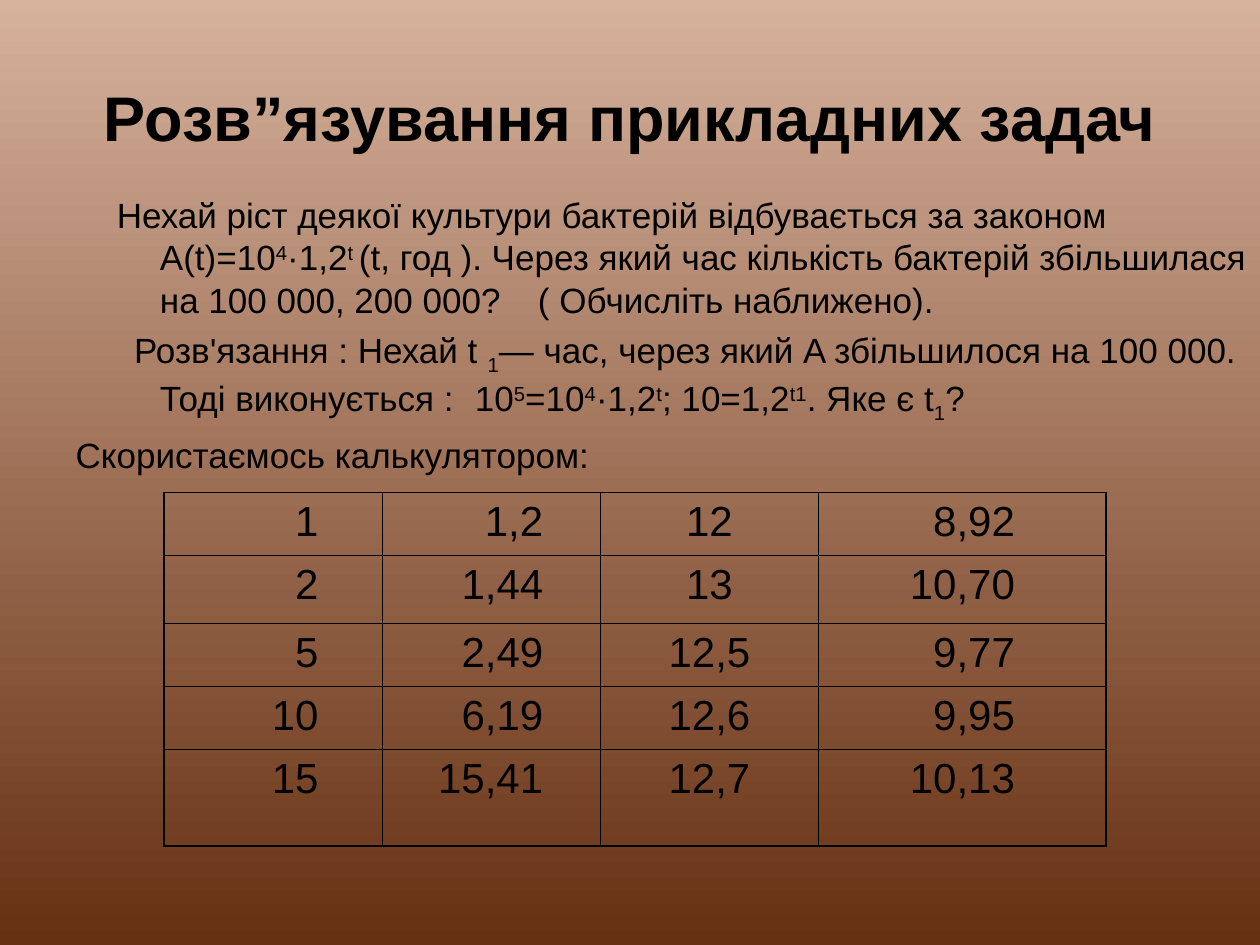
from pptx import Presentation
from pptx.dml.color import RGBColor
from pptx.enum.text import MSO_ANCHOR as Anchor, MSO_AUTO_SIZE as AutoSize, PP_ALIGN as Align
from pptx.oxml.ns import qn
from pptx.util import Cm, Pt
from lxml.etree import SubElement, Element

SUPER, SUB = 30000, -25000

PROBLEM = [
    ("Нехай ріст деякої культури бактерій відбувається за законом A(t)=10", 0),
    ("4", SUPER), ("·1,2", 0), ("t ", SUPER),
    ("(t, год ). Через який час кількість бактерій збільшилася на "
     "100\u00a0000, 200\u00a0000?\t( Обчисліть наближено).", 0),
]
SOLUTION = [
    ("Розв'язання : Нехай t ", 0), ("1", SUB),
    ("― час, через який A збільшилося на 100\u00a0000. Тоді виконується :\t10", 0),
    ("5", SUPER), ("=10", 0), ("4", SUPER), ("·1,2", 0), ("t", SUPER),
    ("; 10=1,2", 0), ("t1", SUPER), (". Яке є t", 0), ("1", SUB), ("?", 0),
]
CALCULATOR = [("Скористаємось калькулятором:", 0)]

VALUES = [
    ["1", "1,2", "12", "8,92"],
    ["2", "1,44", "13", "10,70"],
    ["5", "2,49", "12,5", "9,77"],
    ["10", "6,19", "12,6", "9,95"],
    ["15", "15,41", "12,7", "10,13"],
]
COLUMN_WIDTHS = [4.4, 4.4, 4.4, 5.79]
ROW_HEIGHTS = [1.27, 1.37, 1.27, 1.27, 1.95]
COLUMN_FORMATS = [(Align.RIGHT, 1.28), (Align.RIGHT, 1.15), (Align.CENTER, 0.25), (Align.RIGHT, 1.83)]


def color(value):
    return RGBColor.from_string(value)


def write_text(paragraph, text, size=20, bold=False, font="Arial", fill="000000", baseline=0):
    run = paragraph.add_run()
    run.text = text
    run.font.name = font
    run.font.size = Pt(size)
    run.font.bold = bold
    run.font.color.rgb = color(fill)
    if baseline:
        run.font._element.set("baseline", str(baseline))


class SlideBuilder:
    ink = "000000"
    thin, thick = 0.45, 1.08

    def __init__(self, slide):
        self.slide = slide

    def background(self, top, bottom):
        fill = self.slide.background.fill
        fill.gradient()
        fill.gradient_angle = 270
        for stop, value in zip(fill.gradient_stops, (top, bottom)):
            stop.color.rgb = color(value)

    def place(self, shape, left, top, width, height):
        shape.left, shape.top = Cm(left), Cm(top)
        shape.width, shape.height = Cm(width), Cm(height)
        shape.text_frame.word_wrap = True
        shape.text_frame.auto_size = AutoSize.NONE
        return shape.text_frame

    def title(self, text, *box):
        frame = self.place(self.slide.shapes.title, *box)
        frame.vertical_anchor = Anchor.MIDDLE
        paragraph = frame.paragraphs[0]
        paragraph.alignment = Align.CENTER
        write_text(paragraph, text, size=36, bold=True)

    def body(self, items, *box):
        frame = self.place(self.slide.placeholders[1], *box)
        frame.margin_top = Cm(0.38)
        for index, (segments, indent, tab) in enumerate(items):
            paragraph = frame.add_paragraph() if index else frame.paragraphs[0]
            properties = paragraph._p.get_or_add_pPr()
            properties.set("marL", str(Cm(1.7)))
            properties.set("indent", str(Cm(indent)))
            SubElement(properties, qn("a:buNone"))
            if tab:
                tabs = SubElement(properties, qn("a:tabLst"))
                SubElement(tabs, qn("a:tab"), pos=str(Cm(tab)), algn="l")
            paragraph.space_before = Pt(5 if index else 0)
            for text, baseline in segments:
                write_text(paragraph, text, baseline=baseline)

    def borders(self, cell, widths):
        properties = cell._tc.get_or_add_tcPr()
        for index, (side, width) in enumerate(zip("LRTB", widths)):
            line = Element(qn(f"a:ln{side}"), w=str(Pt(width)))
            solid = SubElement(line, qn("a:solidFill"))
            SubElement(solid, qn("a:srgbClr"), val=self.ink)
            properties.insert(index, line)

    def table(self, values, left, top):
        rows, columns = len(values), len(values[0])
        table = self.slide.shapes.add_table(
            rows, columns, Cm(left), Cm(top), Cm(sum(COLUMN_WIDTHS)), Cm(sum(ROW_HEIGHTS))).table
        table.first_row = table.horz_banding = False
        for column, width in zip(table.columns, COLUMN_WIDTHS):
            column.width = Cm(width)
        for row, height in zip(table.rows, ROW_HEIGHTS):
            row.height = Cm(height)
        for r, row_values in enumerate(values):
            for c, text in enumerate(row_values):
                cell = table.cell(r, c)
                cell.fill.background()
                outer = (c == 0, c == columns - 1, r == 0, r == rows - 1)
                self.borders(cell, [self.thick if edge else self.thin for edge in outer])
                alignment, margin = COLUMN_FORMATS[c]
                cell.margin_right = Cm(margin)
                paragraph = cell.text_frame.paragraphs[0]
                paragraph.alignment = alignment
                write_text(paragraph, text, size=24)


def main():
    presentation = Presentation()
    presentation.slide_width, presentation.slide_height = Cm(25.4), Cm(19.05)
    builder = SlideBuilder(presentation.slides.add_slide(presentation.slide_layouts[1]))
    builder.background("D6B19C", "663012")
    builder.title("Розв”язування прикладних задач", 1.27, 0.76, 22.86, 3.18)
    builder.body([(PROBLEM, -0.87, 13.53), (SOLUTION, -0.52, 8.62), (CALCULATOR, -1.7, None)],
                 1.27, 3.53, 24.13, 13.49)
    builder.table(VALUES, 3.3, 9.93)
    presentation.save("out.pptx")


if __name__ == "__main__":
    main()
